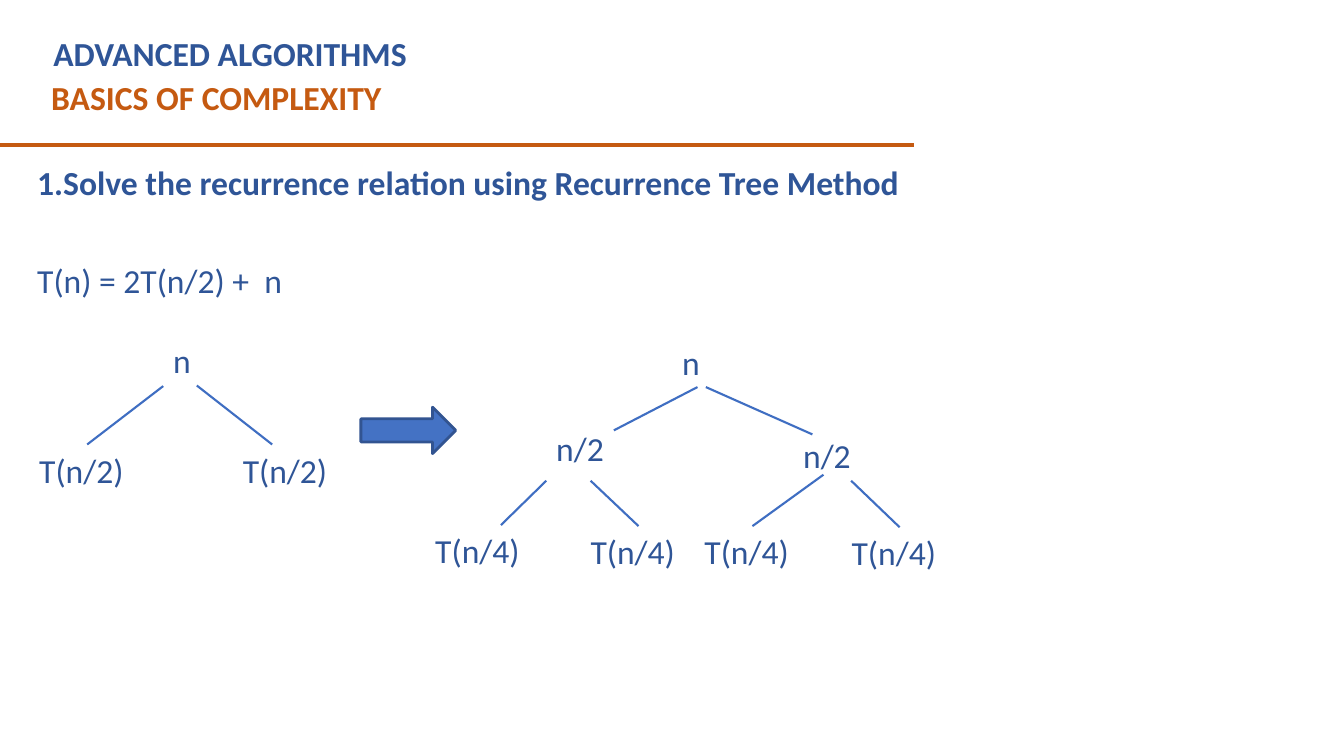
from dataclasses import dataclass
from typing import Union

from lxml.etree import SubElement
from pptx import Presentation
from pptx.dml.color import RGBColor
from pptx.enum.shapes import MSO_CONNECTOR, MSO_SHAPE
from pptx.enum.text import MSO_ANCHOR, PP_ALIGN
from pptx.oxml.ns import qn
from pptx.util import Pt


@dataclass(frozen=True)
class Theme:
    font: str = "Calibri"
    size: float = 24
    navy: str = "2F5597"
    rust: str = "C55A11"
    edge: str = "3F6EC2"
    fill: str = "4472C4"
    rim: str = "325491"


@dataclass(frozen=True)
class Box:
    text: str
    left: float
    top: float
    width: float = 82.8
    height: float = 36


@dataclass(frozen=True)
class Leaf(Box):
    height: float = 64.8


# An edge end is a free point, or the index of the node it is joined to
End = Union[tuple[float, float], int]


@dataclass(frozen=True)
class Edge:
    start: End
    end: End


@dataclass(frozen=True)
class Tree:
    nodes: list[Box]
    edges: list[Edge]


THEME = Theme()
HEADS = [
    (Box("ADVANCED ALGORITHMS", 31, 20.2, 590), THEME.navy),
    (Box("BASICS OF COMPLEXITY", 29.5, 51.1, 630), THEME.rust),
]
TASK = Box(
    "1.Solve the recurrence relation using Recurrence Tree Method\n"
    "T(n) = 2T(n/2) +  n",
    12.2, 101.5, 653, 127.4,
)
TREES = [
    Tree(
        [
            Box("n", 116.6, 239.4, 48),
            Leaf("T(n/2)", 20.9, 317.5),
            Leaf("T(n/2)", 166.3, 317.5),
        ],
        [Edge((116.6, 275.8), 1), Edge(0, (194.4, 317.5))],
    ),
    Tree(
        [
            Box("n", 480.2, 240.5, 48),
            Box("n/2", 390.2, 302.4),
            Box("n/2", 566.6, 307.4),
            Leaf("T(n/4)", 303.8, 375.1),
            Leaf("T(n/4)", 414.7, 375.8),
            Leaf("T(n/4)", 496.1, 375.8),
            Leaf("T(n/4)", 601.2, 376.6),
        ],
        [
            Edge((498.2, 276.5), (438.5, 307.4)),
            Edge(0, (580.3, 310.3)),
            Edge((390.2, 343.4), (357.8, 375.1)),
            Edge((421.9, 343.4), 4),
            Edge((588.2, 339.1), 5),
            Edge(2, 6),
        ],
    ),
]


def color(code: str) -> RGBColor:
    return RGBColor.from_string(code)


def style(para, code: str, bold: bool) -> None:
    for run in para.runs:
        run.font.name = THEME.font
        run.font.size = Pt(THEME.size)
        run.font.bold = bold
        run.font.color.rgb = color(code)


def write(shapes, box: Box, code: str, bold: bool = False):
    shape = shapes.add_textbox(
        Pt(box.left), Pt(box.top), Pt(box.width), Pt(box.height)
    )
    frame = shape.text_frame
    frame.word_wrap = True
    frame.text = box.text
    for para in frame.paragraphs:
        style(para, code, bold)
    return shape


def rule(shapes, start: tuple[float, float], end: tuple[float, float],
         code: str, width: float):
    line = shapes.add_connector(
        MSO_CONNECTOR.STRAIGHT, *(Pt(v) for v in (*start, *end))
    )
    line.line.color.rgb = color(code)
    line.line.width = Pt(width)
    SubElement(line._element.spPr, qn("a:effectLst"))
    return line


def point(end: End, nodes: list[Box], low: bool) -> tuple[float, float]:
    if isinstance(end, tuple):
        return end
    node = nodes[end]
    return node.left + node.width / 2, node.top + node.height * low


def grow(shapes, tree: Tree) -> None:
    group = shapes.add_group_shape().shapes
    boxes = [write(group, node, THEME.navy) for node in tree.nodes]
    for edge in tree.edges:
        line = rule(
            group,
            point(edge.start, tree.nodes, True),
            point(edge.end, tree.nodes, False),
            THEME.edge, 1.5,
        )
        if isinstance(edge.start, int):
            line.begin_connect(boxes[edge.start], 2)
        if isinstance(edge.end, int):
            line.end_connect(boxes[edge.end], 0)


def main() -> None:
    deck = Presentation()
    deck.slide_width, deck.slide_height = Pt(960), Pt(540)
    shapes = deck.slides.add_slide(deck.slide_layouts[6]).shapes

    # Header
    for box, code in HEADS:
        write(shapes, box, code, True)
    rule(shapes, (0, 103.7), (653, 103.7), THEME.rust, 3)

    # Task and its recurrence
    frame = write(shapes, TASK, THEME.navy, True).text_frame
    frame.vertical_anchor = MSO_ANCHOR.MIDDLE
    frame.margin_left = Pt(14.4)
    frame.margin_top = frame.margin_bottom = 0
    for para, gap in zip(frame.paragraphs, (41.3, 6)):
        para.alignment = PP_ALIGN.JUSTIFY
        para.space_after = Pt(gap)
    style(frame.paragraphs[1], THEME.navy, False)

    # Recurrence trees
    for tree in TREES:
        grow(shapes, tree)

    # Arrow from the first tree to the second
    arrow = shapes.add_shape(
        MSO_SHAPE.RIGHT_ARROW, Pt(257.8), Pt(290.9), Pt(67.7), Pt(33.1)
    )
    arrow.shadow.inherit = False
    arrow.fill.solid()
    arrow.fill.fore_color.rgb = color(THEME.fill)
    arrow.line.color.rgb = color(THEME.rim)
    arrow.line.width = Pt(2)

    deck.save("out.pptx")


if __name__ == "__main__":
    main()
